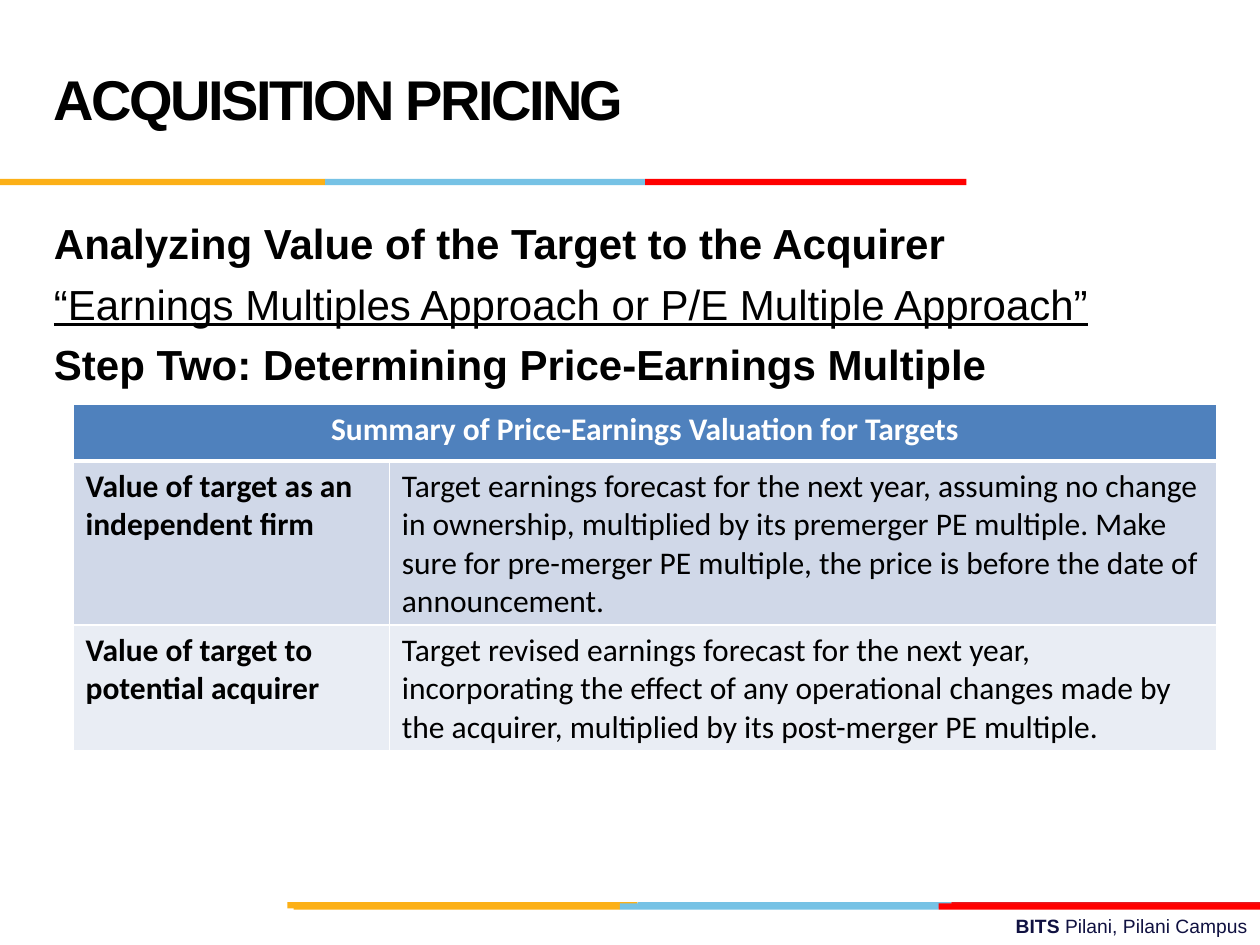
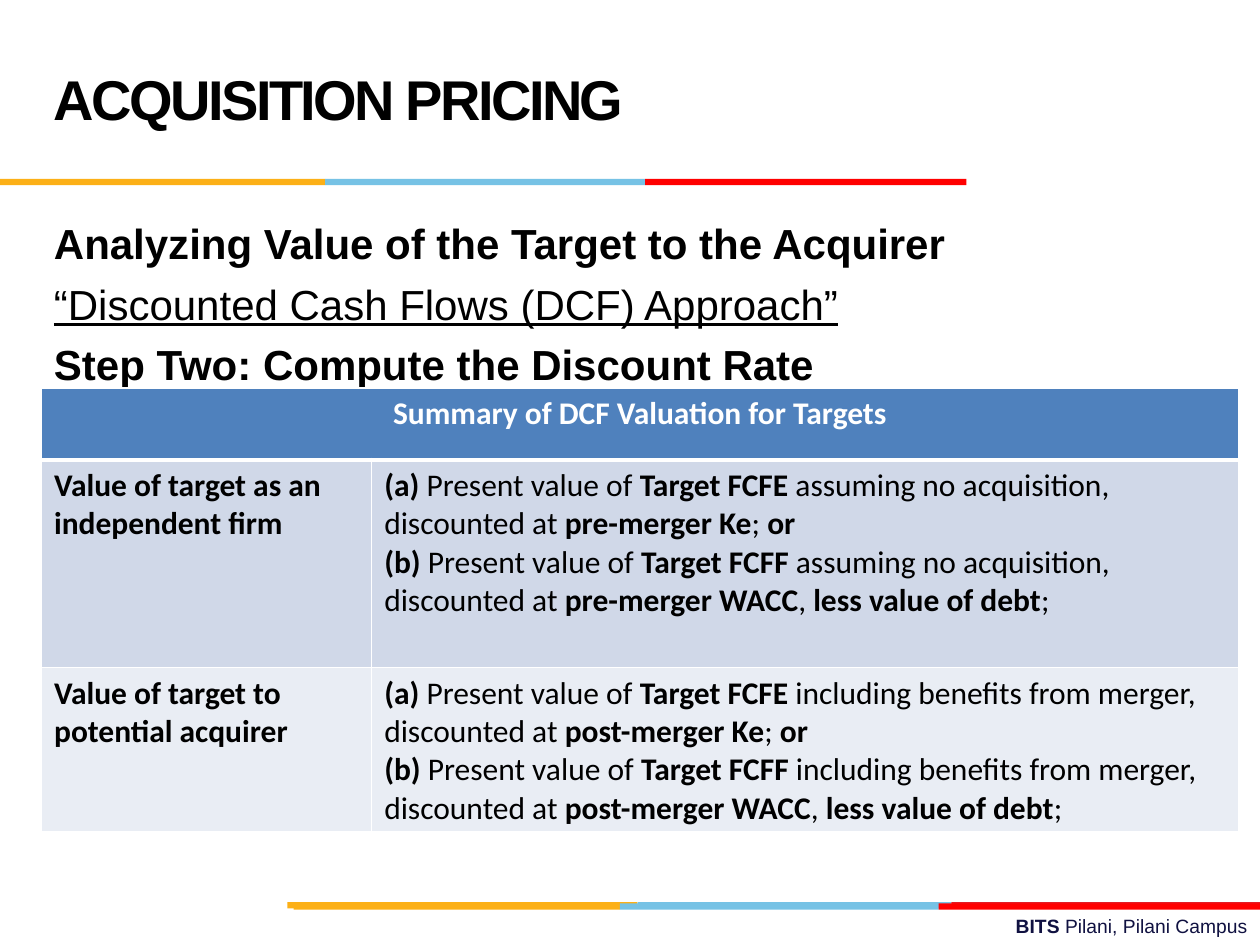
from lxml import etree
from pptx import Presentation
from pptx.dml.color import RGBColor
from pptx.enum import shapes, text
from pptx.oxml import ns
from pptx.util import Inches, Pt

BLACK = RGBColor(0x00, 0x00, 0x00)
WHITE = RGBColor(0xFF, 0xFF, 0xFF)
NAVY = RGBColor(0x10, 0x11, 0x41)
YELLOW = RGBColor(0xFC, 0xB0, 0x17)
SKY = RGBColor(0x76, 0xC2, 0xE5)
CRIMSON = RGBColor(0xE3, 0x1C, 0x24)
RED = RGBColor(0xFF, 0x00, 0x00)
HEADER_BLUE = RGBColor(0x4F, 0x81, 0xBD)
ROW_FILLS = (RGBColor(0xD0, 0xD8, 0xE8), RGBColor(0xE9, 0xED, 0xF4))

ALIGN = text.PP_ALIGN
BAR_HEIGHT = 0.05
EARNINGS_ROWS = [
    ("**Value of target as an**\n**independent firm**",
     "Target earnings forecast for the next year, assuming no change in ownership, "
     "multiplied by its premerger PE multiple. Make sure for pre-merger PE multiple, "
     "the price is before the date of announcement."),
    ("**Value of target to**\n**potential acquirer**",
     "Target revised earnings forecast for the next year, incorporating the effect of "
     "any operational changes made by the acquirer, multiplied by its post-merger PE multiple."),
]


def dcf_text(condition, stage):
    """Equity and firm versions of the DCF value for one merger stage."""
    start = "Present value of **Target"
    rate = f"{condition}, discounted at **{stage}-merger"
    return (f"**(a)** {start} FCFE** {rate} Ke**; **or**\n"
            f"**(b)** {start} FCFF** {rate} WACC**, **less value of debt**;")


DCF_ROWS = [
    (EARNINGS_ROWS[0][0], dcf_text("assuming no acquisition", "pre")),
    (EARNINGS_ROWS[1][0], dcf_text("including benefits from merger", "post")),
]


def write(tf, content, size, font="Arial", color=BLACK, align=ALIGN.LEFT,
          space_before=0, line_spacing=None, tracking=None, underlined=()):
    """Fill a text frame: newlines part paragraphs, ** switches bold on and off."""
    tf.word_wrap = True
    for i, line in enumerate(content.split("\n")):
        p = tf.add_paragraph() if i else tf.paragraphs[0]
        p.alignment = align
        if i and space_before:
            p.space_before = Pt(space_before)
        if line_spacing:
            p.line_spacing = Pt(line_spacing)
        for j, part in enumerate(line.split("**")):
            if not part:
                continue
            r = p.add_run()
            r.text = part
            r.font.name = font
            r.font.size = Pt(size)
            r.font.color.rgb = color
            r.font.bold = j % 2 == 1
            if i in underlined:
                r.font.underline = True
            if tracking:
                r._r.get_or_add_rPr().set("spc", str(round(tracking * 100)))


def add_text(s, left, top, width, height, content, size,
             anchor=text.MSO_ANCHOR.TOP, **style):
    box = s.shapes.add_textbox(Inches(left), Inches(top), Inches(width), Inches(height))
    box.text_frame.vertical_anchor = anchor
    write(box.text_frame, content, size, **style)


def add_band(s, top, edges, colors):
    """Draw touching bars between successive edges."""
    for left, right, color in zip(edges, edges[1:], colors):
        bar = s.shapes.add_shape(shapes.MSO_SHAPE.RECTANGLE, Inches(left), Inches(top),
                                 Inches(right - left), Inches(BAR_HEIGHT))
        bar.shadow.inherit = False
        bar.fill.solid()
        bar.fill.fore_color.rgb = color
        bar.line.fill.background()


def set_borders(cell, top=1, bottom=1):
    tcPr = cell._tc.get_or_add_tcPr()
    for side, width in (("L", 1), ("R", 1), ("T", top), ("B", bottom)):
        ln = etree.SubElement(tcPr, ns.qn(f"a:ln{side}"), w=str(Pt(width)))
        fill = etree.SubElement(ln, ns.qn("a:solidFill"))
        etree.SubElement(fill, ns.qn("a:srgbClr"), val=str(WHITE))


def fill_cell(cell, content, fill, **style):
    cell.fill.solid()
    cell.fill.fore_color.rgb = fill
    write(cell.text_frame, content, 18, font="Calibri", **style)


def add_summary(s, left, top, col_widths, row_heights, heading, rows):
    table = s.shapes.add_table(
        len(row_heights), len(col_widths), Inches(left), Inches(top),
        Inches(sum(col_widths)), Inches(sum(row_heights))).table
    for col, width in zip(table.columns, col_widths):
        col.width = Inches(width)
    for i, (row, height) in enumerate(zip(table.rows, row_heights)):
        row.height = Inches(height)
        for cell in row.cells:
            set_borders(cell, top=3 if i == 1 else 1, bottom=3 if i == 0 else 1)
    table.cell(0, 0).merge(table.cell(0, 1))
    fill_cell(table.cell(0, 0), f"**{heading}**", HEADER_BLUE,
              color=WHITE, align=ALIGN.CENTER)
    for i, (row, fill) in enumerate(zip(rows, ROW_FILLS), start=1):
        for j, content in enumerate(row):
            fill_cell(table.cell(i, j), content, fill)


def add_pricing_slide(prs, approach, step):
    """Add a slide with the shared title, bands and footer, and its three lead lines."""
    s = prs.slides.add_slide(prs.slide_layouts[6])
    add_text(s, 3.58, 7.21, 6.42, 0.29, "**BITS **Pilani, Pilani Campus", 11,
             color=NAVY, align=ALIGN.RIGHT)
    add_band(s, 7.16, (2.28, 5.06, 7.55, 10), (YELLOW, SKY, CRIMSON))
    add_band(s, 7.17, (2.33, 4.92, 7.45, 10), (YELLOW, SKY, RED))
    add_band(s, 1.42, (0, 2.58, 5.12, 7.67), (YELLOW, SKY, RED))
    add_text(s, 0.33, 1.68, 9, 5.4,
             "**Analyzing Value of the Target to the Acquirer**\n"
             f"“{approach}”\n**Step Two: {step}**",
             24, align=ALIGN.JUSTIFY, space_before=5.6, underlined=(1,))
    add_text(s, 0.33, 0.17, 6.92, 1.25, "**ACQUISITION PRICING**", 32,
             anchor=text.MSO_ANCHOR.MIDDLE, line_spacing=36, tracking=-1.5)
    return s


def main():
    prs = Presentation()
    prs.slide_width, prs.slide_height = Inches(10), Inches(7.5)

    s = add_pricing_slide(prs, "Earnings Multiples Approach or P/E Multiple Approach",
                          "Determining Price-Earnings Multiple")
    add_summary(s, 0.58, 3.21, (2.51, 6.57), (0.45, 1.3, 1),
                "Summary of Price-Earnings Valuation for Targets", EARNINGS_ROWS)

    s = add_pricing_slide(prs, "Discounted Cash Flows (DCF) Approach",
                          "Compute the Discount Rate")
    add_summary(s, 0.33, 3.08, (2.62, 6.88), (0.57, 1.65, 1.3),
                "Summary of DCF Valuation for Targets", DCF_ROWS)

    prs.save("out.pptx")


if __name__ == "__main__":
    main()
